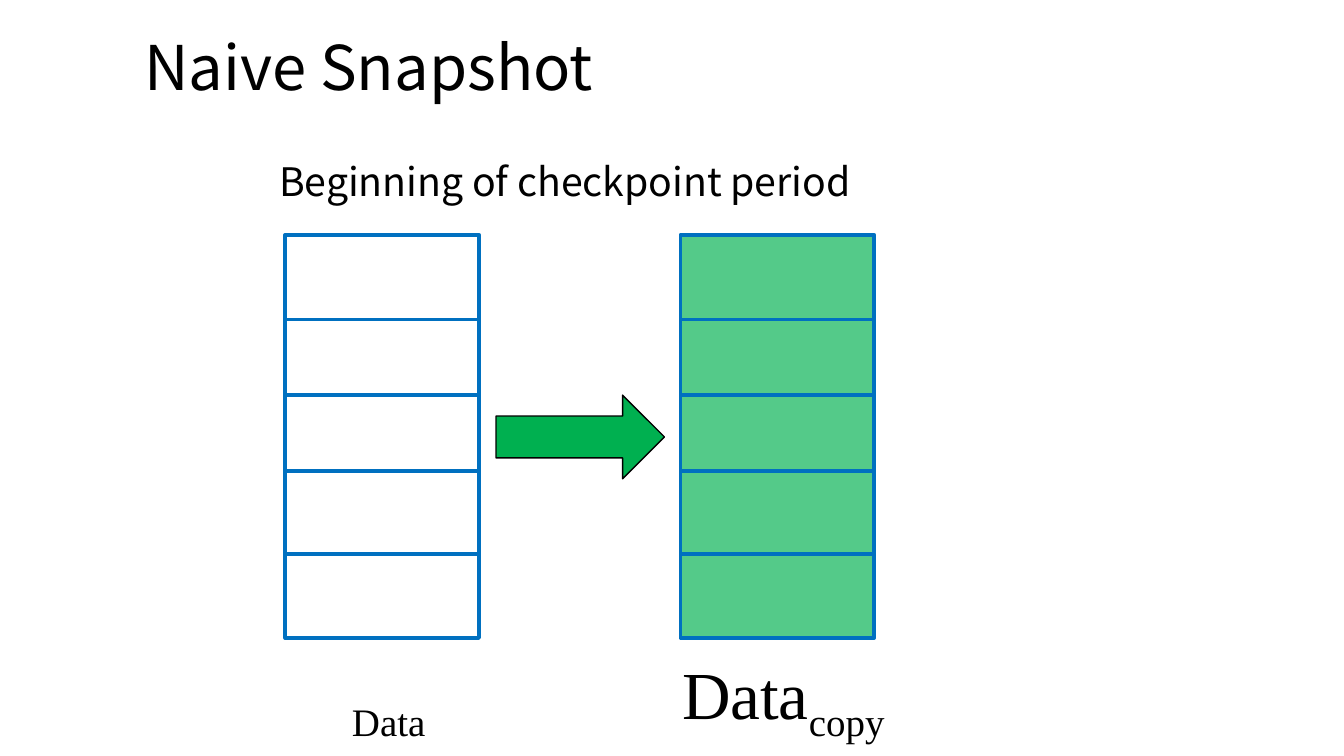
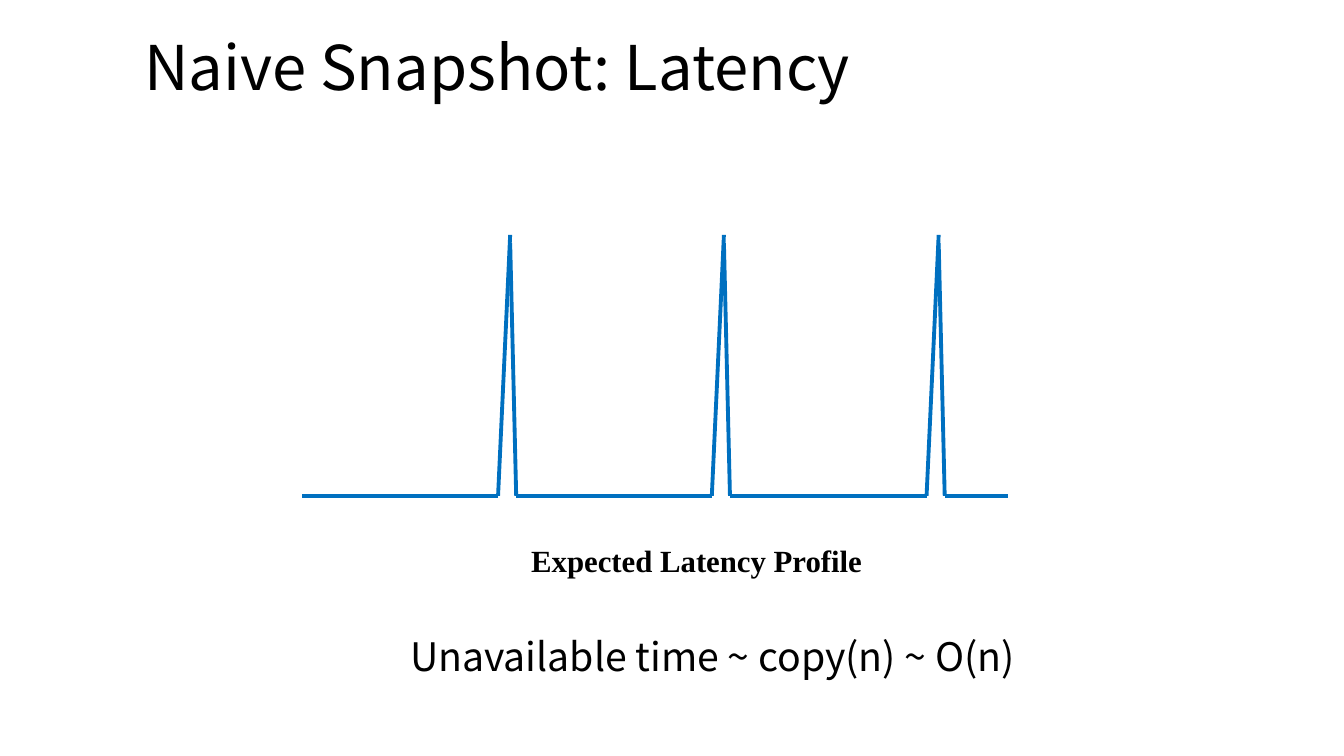
from lxml import etree
from pptx import Presentation
from pptx.dml.color import RGBColor
from pptx.enum.shapes import MSO_CONNECTOR, MSO_SHAPE
from pptx.enum.text import MSO_ANCHOR, MSO_AUTO_SIZE, PP_ALIGN
from pptx.oxml.ns import qn
from pptx.util import Inches, Pt

BLACK = RGBColor(0x00, 0x00, 0x00)
BLUE = RGBColor(0x00, 0x70, 0xC0)
GREEN = RGBColor(0x00, 0xB0, 0x50)
SANS = "Noto Sans CJK SC"
SERIF = "Times New Roman"
STROKE = Pt(2.75)


def write(frame, runs, size, font, align=PP_ALIGN.LEFT, bold=False):
    """Fill the first paragraph with (text, is_subscript) runs."""
    paragraph = frame.paragraphs[0]
    paragraph.alignment = align
    for text, is_subscript in runs:
        run = paragraph.add_run()
        run.text = text
        run.font.size = Pt(size)
        run.font.name = font
        run.font.bold = bold
        run.font.color.rgb = BLACK
        if is_subscript:
            run.font._element.set("baseline", "-25000")
    return paragraph


def draw_line(shapes, start, end):
    line = shapes.add_connector(
        MSO_CONNECTOR.STRAIGHT, *[Inches(value) for value in (*start, *end)])
    line.line.color.rgb = BLUE
    line.line.width = STROKE
    etree.SubElement(line._element.spPr, qn("a:effectLst"))


prs = Presentation()
prs.slide_width = Inches(13.33)
prs.slide_height = Inches(7.5)
title_only = prs.slide_layouts[5]

# Slides and their titles
slides = []
for heading in ("Naive Snapshot", "Naive Snapshot: Latency"):
    slide = prs.slides.add_slide(title_only)
    title = slide.shapes.title
    title.left, title.top = Inches(1.33), Inches(0.08)
    title.width, title.height = Inches(11.33), Inches(1.25)
    title.text_frame.auto_size = MSO_AUTO_SIZE.NONE
    title.text_frame.vertical_anchor = MSO_ANCHOR.MIDDLE
    write(title.text_frame, [(heading, False)], 44, SANS).line_spacing = 0.9
    slides.append(slide)
snapshot, latency = slides

# Data columns and the copy arrow
COLUMN_TOP, COLUMN_WIDTH, COLUMN_HEIGHT = 2.33, 1.92, 4
ROW_EDGES = (3.17, 3.92, 4.67, 5.5)
for left, is_copy in ((2.83, False), (6.75, True)):
    column = snapshot.shapes.add_shape(
        MSO_SHAPE.RECTANGLE, Inches(left), Inches(COLUMN_TOP),
        Inches(COLUMN_WIDTH), Inches(COLUMN_HEIGHT))
    column.shadow.inherit = False
    column.line.color.rgb = BLUE
    column.line.width = STROKE
    if is_copy:
        column.fill.solid()
        column.fill.fore_color.rgb = GREEN
        green = column._element.spPr.find(qn("a:solidFill"))[0]
        etree.SubElement(green, qn("a:alpha"), val="67000")
    else:
        column.fill.background()
    for y in ROW_EDGES:
        draw_line(snapshot.shapes, (left, y), (left + COLUMN_WIDTH, y))

arrow = snapshot.shapes.add_shape(
    MSO_SHAPE.RIGHT_ARROW, Inches(4.92), Inches(3.92), Inches(1.67), Inches(0.83))
arrow.shadow.inherit = False
arrow.fill.solid()
arrow.fill.fore_color.rgb = GREEN
arrow.line.color.rgb = BLACK
arrow.line.width = Pt(1)

# Latency profile: flat stretches broken by one spike per checkpoint
BASELINE, PEAK, FALL_START = 4.92, 2.33, 2.41
profile = latency.shapes.add_group_shape().shapes
flat_start = 3
for spike in (4.94, 7.06, 9.19):
    tip, spike_end = spike + 0.12, spike + 0.18
    draw_line(profile, (flat_start, BASELINE), (spike, BASELINE))
    draw_line(profile, (spike, BASELINE), (tip, PEAK))
    draw_line(profile, (tip, FALL_START), (spike_end, BASELINE))
    flat_start = spike_end
draw_line(profile, (flat_start, BASELINE), (10, BASELINE))

# Captions: slide, box, wrap, runs, size, font, alignment, bold
captions = (
    (snapshot, (2.67, 1.51, 8.5, 0.82), True,
     [("Beginning of checkpoint period", False)], 28, SANS, PP_ALIGN.LEFT, False),
    (snapshot, (3.33, 6.42, 1.05, 0.64), False,
     [("Data", True)], 48, SERIF, PP_ALIGN.CENTER, False),
    (snapshot, (6.6, 6.42, 2.34, 0.91), False,
     [("Data", False), ("copy", True)], 48, SERIF, PP_ALIGN.CENTER, False),
    (latency, (5.17, 5.33, 3.52, 0.47), False,
     [("Expected Latency Profile", False)], 22, SERIF, PP_ALIGN.LEFT, True),
    (latency, (3.97, 6.22, 6.67, 0.57), True,
     [("Unavailable time ~ copy(n) ~ O(n)", False)], 28, SANS, PP_ALIGN.LEFT, False),
)
for slide, box, wraps, runs, size, font, align, bold in captions:
    caption = slide.shapes.add_textbox(*[Inches(value) for value in box]).text_frame
    caption.word_wrap = wraps
    write(caption, runs, size, font, align, bold)

prs.save("out.pptx")
